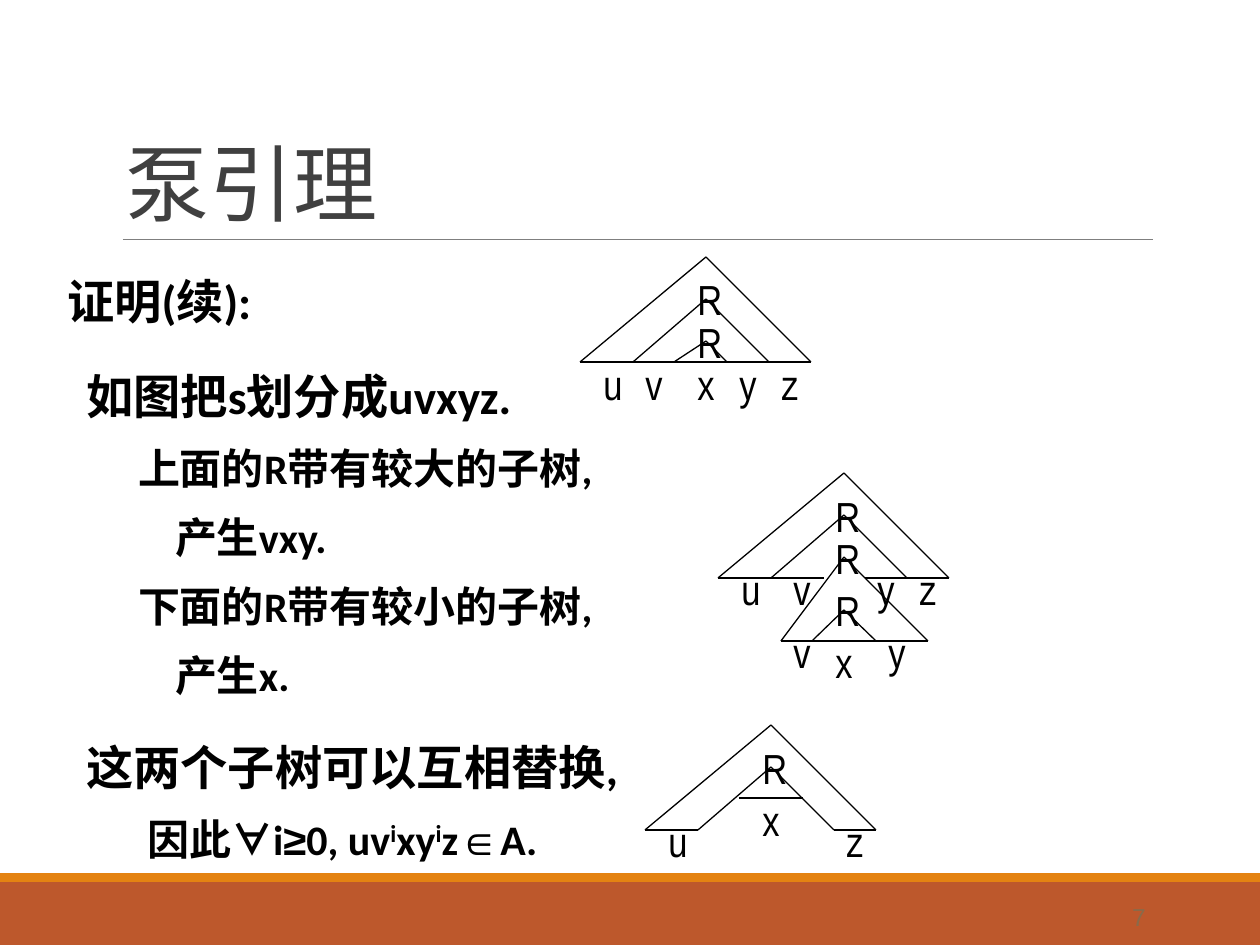
from lxml import etree
from pptx import Presentation
from pptx import util as u
from pptx.dml.color import RGBColor
from pptx.enum import shapes, text
from pptx.oxml.ns import qn

PX = 914400 / 126  # one px in EMU


def px(n):
    return u.Emu(round(n * PX))


def color(h):
    return RGBColor.from_string(h)


prs = Presentation()
prs.slide_width, prs.slide_height = px(1260), px(945)
s = prs.slides.add_slide(prs.slide_layouts[1])

# Footer bars
for top, height, fill in [(882, 63, "BD582C"), (873, 9, "E48312")]:
    sp = s.shapes.add_shape(shapes.MSO_SHAPE.RECTANGLE, 0, px(top), px(1260), px(height))
    sp.shadow.inherit = False
    sp.fill.solid()
    sp.fill.fore_color.rgb = color(fill)
    sp.line.fill.background()

# Title
sp = s.shapes.title
sp.left, sp.top, sp.width, sp.height = px(113), px(39), px(1040), px(200)
tf = sp.text_frame
tf.text = "泵引理"
tf.vertical_anchor = text.MSO_ANCHOR.BOTTOM
tf.auto_size = text.MSO_AUTO_SIZE.NONE
p = tf.paragraphs[0]
p.alignment = text.PP_ALIGN.LEFT
p.line_spacing = 0.85
f = p.runs[0].font
f.size, f.name, f.color.rgb = u.Pt(48), "Calibri", color("404040")

# Proof: indent in px, size, space before, runs as (text, font, raised)
MAIN, SUB = (27, 12), (24, 2)
proof = [
    (13, MAIN, [("证明(续):", "Calibri", False)]),
    (32, MAIN, [("如图把s划分成uvxyz.", "Calibri", False)]),
    (84, SUB, [("上面的R带有较大的子树,", "Calibri", False)]),
    (121, SUB, [("产生vxy.", "Calibri", False)]),
    (84, SUB, [("下面的R带有较小的子树,", "Calibri", False)]),
    (121, SUB, [("产生x.", "Calibri", False)]),
    (32, MAIN, [("这两个子树可以互相替换,", "Calibri", False)]),
    (93, SUB, [("因此", "Calibri", False), ("∀", "Arial", False), ("i", "Calibri", False),
               ("≥", "Arial", False), ("0, uv", "Calibri", False), ("i", "Calibri", True),
               ("xy", "Calibri", False), ("i", "Calibri", True), ("z", "Calibri", False),
               ("∈", "Arial", False), ("A.", "Calibri", False)]),
]
sp = s.placeholders[1]
sp.left, sp.top, sp.width, sp.height = px(54), px(249), px(1071), px(630)
tf = sp.text_frame
tf.margin_left = tf.margin_right = 0
tf.auto_size = text.MSO_AUTO_SIZE.NONE
for i, (indent, (size, before), runs) in enumerate(proof):
    p = tf.paragraphs[0] if i == 0 else tf.add_paragraph()
    p.level = 0 if size == 27 else 1
    p.line_spacing = 1.3
    p.space_before = u.Pt(before)
    pPr = p._p.get_or_add_pPr()
    pPr.set("marL", str(px(indent)))
    pPr.set("indent", "0")
    etree.SubElement(pPr, qn("a:buNone"))
    for words, face, raised in runs:
        r = p.add_run()
        r.text = words
        f = r.font
        f.size, f.name, f.bold, f.color.rgb = u.Pt(size), face, True, color("000000")
        if raised:
            r._r.get_or_add_rPr().set("baseline", "30000")

# Parse trees: apex, lines and labels, both relative to the apex
OUTER = [(0, 0, -126, 105), (0, 0, 105, 105)]
INNER = [(-73, 105, 0, 42), (0, 42, 63, 105)]
trees = [
    ((706, 257),
     OUTER + INNER + [(-126, 105, 105, 105), (-32, 105, 0, 84), (0, 84, 21, 105)],
     [("u", -115, 95), ("v", -73, 95), ("x", -21, 95), ("y", 21, 95), ("z", 63, 95),
      ("R", -21, 10), ("R", -21, 53)]),
    ((844, 473),
     OUTER + INNER + [(-126, 105, -20, 105), (105, 105, 21, 105), (-63, 168, 84, 168),
                      (-63, 168, 0, 84), (0, 84, 84, 168),
                      (-32, 168, 0, 137), (0, 137, 32, 168)],
     [("u", -115, 84), ("v", -63, 84), ("y", 21, 84), ("z", 63, 84), ("v", -63, 147),
      ("x", -21, 157), ("y", 32, 147), ("R", -21, 11), ("R", -21, 53), ("R", -21, 105)]),
    ((771, 725),
     OUTER + INNER + [(-126, 105, -73, 105), (105, 105, 63, 105), (-32, 73, 32, 73)],
     [("u", -115, 84), ("x", -21, 63), ("z", 63, 84), ("R", -21, 11)]),
]
# The title rule comes first, then the lines of each tree
lines = [(s.shapes, (123, 239, 1153, 239), "7F7F7F", 0.5)]
for (ax, ay), edges, labels in trees:
    group = s.shapes.add_group_shape().shapes
    for x1, y1, x2, y2 in edges:
        lines.append((group, (ax + x1, ay + y1, ax + x2, ay + y2), "000000", 0.75))
    for letter, x, y in labels:
        sp = group.add_textbox(px(ax + x), px(ay + y), px(53 if letter == "R" else 42), px(63))
        tf = sp.text_frame
        tf.word_wrap = True
        tf.text = letter
        f = tf.paragraphs[0].runs[0].font
        f.size, f.name, f.color.rgb = u.Pt(24), "Arial Narrow", color("000000")
for parent, ends, stroke, weight in lines:
    c = parent.add_connector(shapes.MSO_CONNECTOR.STRAIGHT, *map(px, ends))
    c.line.color.rgb = color(stroke)
    c.line.width = u.Pt(weight)
    etree.SubElement(c._element.spPr, qn("a:effectLst"))

# Slide number
sp = s.shapes.add_textbox(px(1040), px(892), px(118), px(50))
tf = sp.text_frame
tf.word_wrap = True
tf.vertical_anchor = text.MSO_ANCHOR.MIDDLE
tf.text = "7"
p = tf.paragraphs[0]
p.alignment = text.PP_ALIGN.RIGHT
f = p.runs[0].font
f.size, f.name, f.color.rgb = u.Pt(14), "Arial", color("8A6A4A")

prs.save("out.pptx")
